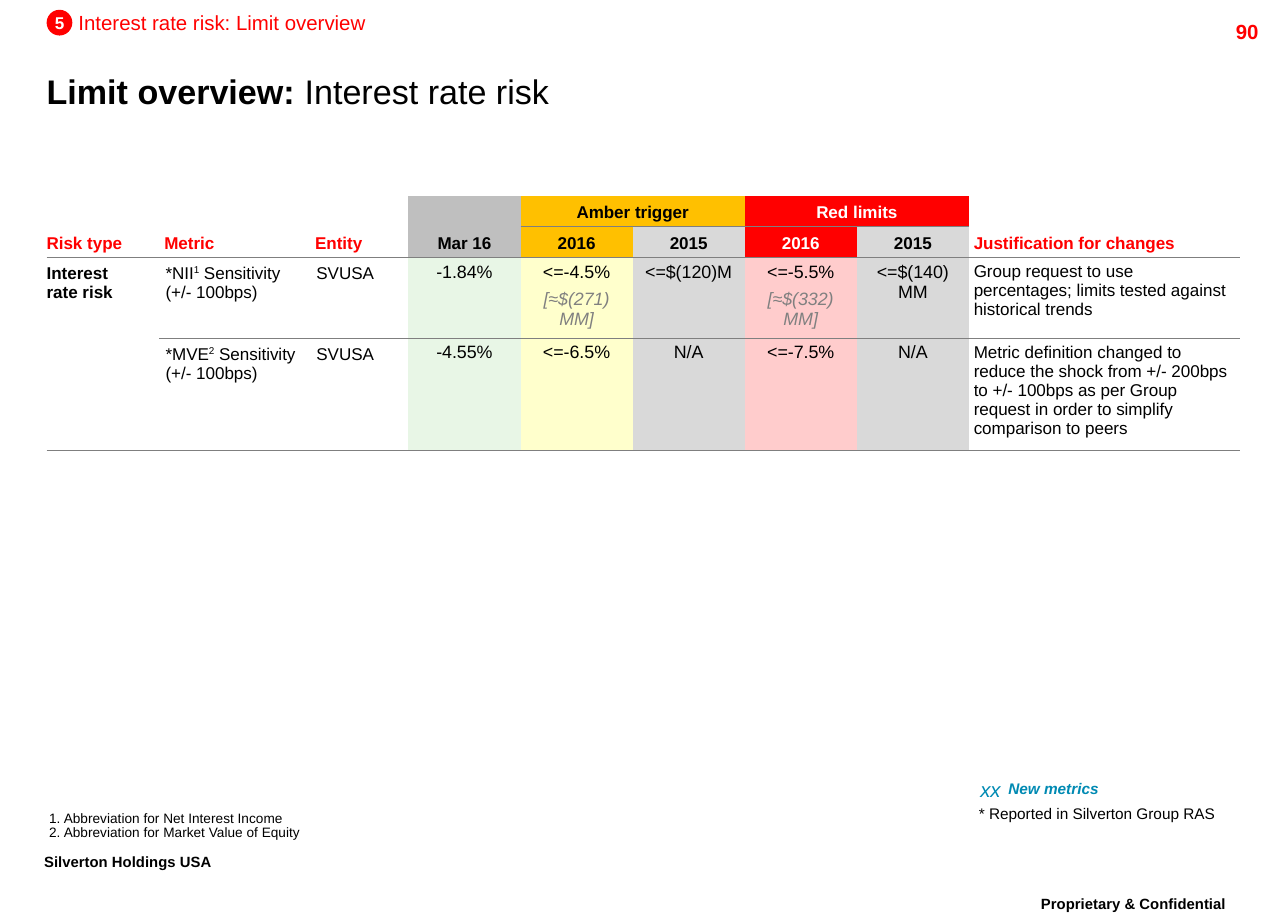
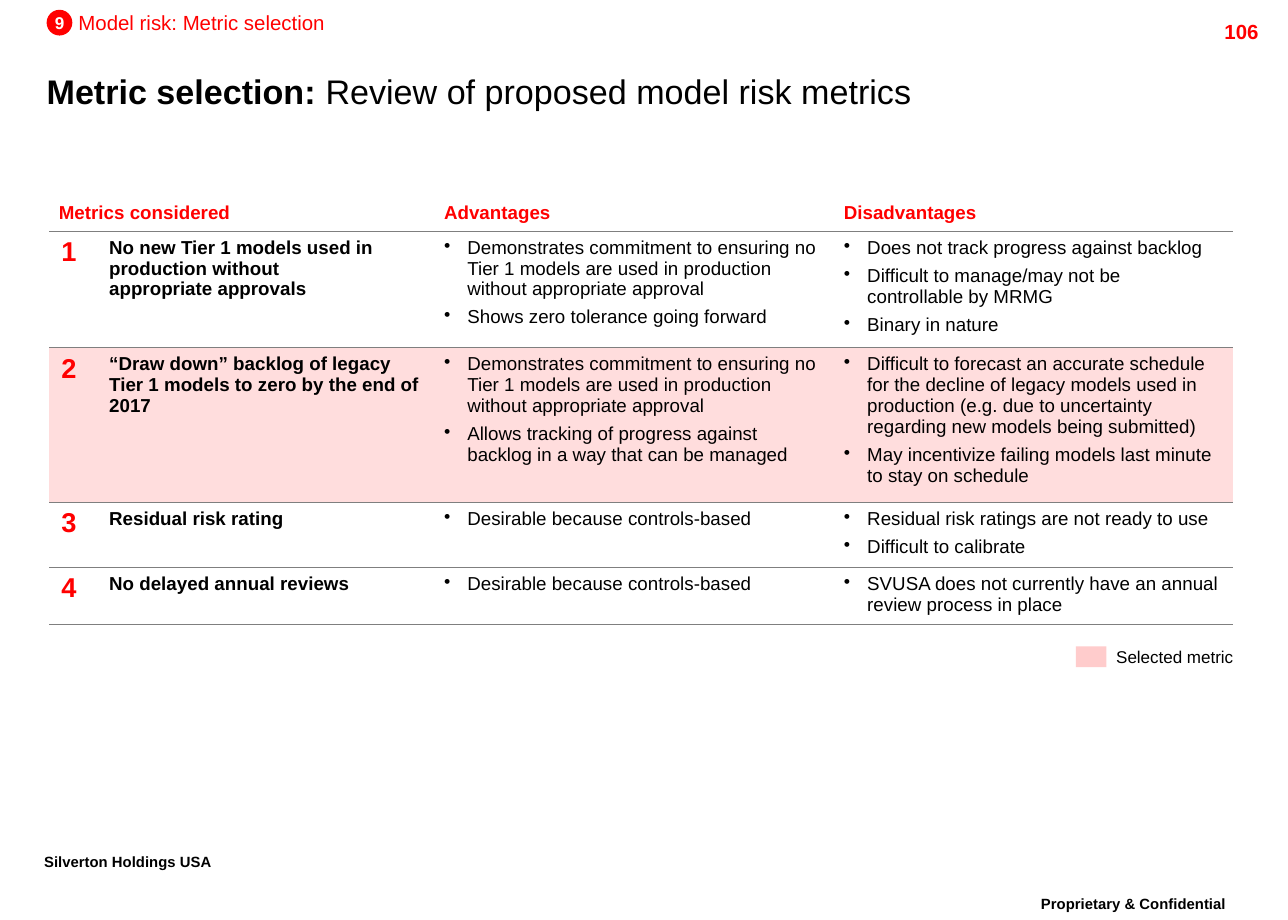
from dataclasses import dataclass

from lxml import etree
from pptx import Presentation
from pptx.dml.color import RGBColor
from pptx.enum import shapes, text as text_enum
from pptx.oxml import ns
from pptx.util import Inches, Pt

LEFT, CENTER, RIGHT = (text_enum.PP_ALIGN.LEFT, text_enum.PP_ALIGN.CENTER,
                       text_enum.PP_ALIGN.RIGHT)
TOP, MIDDLE, BOTTOM = (text_enum.MSO_ANCHOR.TOP, text_enum.MSO_ANCHOR.MIDDLE,
                       text_enum.MSO_ANCHOR.BOTTOM)


@dataclass(frozen=True)
class Theme:
    font: str = "Arial"
    red: str = "FF0000"
    black: str = "000000"
    white: str = "FFFFFF"
    amber: str = "FFC000"
    grey: str = "BFBFBF"
    light_grey: str = "D9D9D9"
    rule: str = "7F7F7F"
    muted: str = "808080"
    pale_green: str = "E8F6E6"
    pale_yellow: str = "FFFFCC"
    pale_red: str = "FFCCCC"
    selected: str = "FFDDDD"
    blue: str = "008AB3"
    title: float = 20
    number: float = 16
    section: float = 12
    metric: float = 11
    value: float = 10.5
    body: float = 10
    legend: float = 9
    footer: float = 8.7
    note: float = 8


THEME = Theme()

# Shared content
COMPANY = "Silverton Holdings USA"
ENTITY = "SVUSA"
NOTICE = "Proprietary & Confidential"

# Limit overview content: a cell is a string or a list of paragraphs,
# a paragraph is a string or a list of runs, a run is a string or (text, format)
SUPERSCRIPT = {"baseline": 30}
ESTIMATE = {"italic": True, "color": THEME.muted}
LIMIT_COLUMNS = [0.92, 1.23, 0.8] + [4.57 / 5] * 5 + [2.21]
LIMIT_ROWS = [0.25, 0.25, 0.66, 0.91]
LIMIT_HEADERS = [  # row, column, rows spanned, columns spanned, text, fill, colour
    (0, 0, 2, 1, "Risk type", None, THEME.red),
    (0, 1, 2, 1, "Metric", None, THEME.red),
    (0, 2, 2, 1, "Entity", None, THEME.red),
    (0, 3, 2, 1, "Mar 16", THEME.grey, THEME.black),
    (0, 4, 1, 2, "Amber trigger", THEME.amber, THEME.black),
    (0, 6, 1, 2, "Red limits", THEME.red, THEME.white),
    (0, 8, 2, 1, "Justification for changes", None, THEME.red),
    (1, 4, 1, 1, "2016", THEME.amber, THEME.black),
    (1, 5, 1, 1, "2015", THEME.light_grey, THEME.black),
    (1, 6, 1, 1, "2016", THEME.red, THEME.white),
    (1, 7, 1, 1, "2015", THEME.light_grey, THEME.black),
]
LIMIT_FILLS = [None, None, None, THEME.pale_green, THEME.pale_yellow,
               THEME.light_grey, THEME.pale_red, THEME.light_grey, None]
VALUE_COLUMNS = range(3, 8)
RISK_TYPE = "Interest rate risk"
LIMITS = [
    [[["*NII", ("1", SUPERSCRIPT), " Sensitivity (+/- 100bps)"]], ENTITY, "-1.84%",
     ["<=-4.5%", [("[≈$(271) MM]", ESTIMATE)]], "<=$(120)M",
     ["<=-5.5%", [("[≈$(332) MM]", ESTIMATE)]], "<=$(140) MM",
     "Group request to use percentages; limits tested against historical trends"],
    [[["*MVE", ("2", SUPERSCRIPT), " Sensitivity (+/- 100bps)"]], ENTITY, "-4.55%",
     "<=-6.5%", "N/A", "<=-7.5%", "N/A",
     "Metric definition changed to reduce the shock from +/- 200bps to +/- 100bps "
     "as per Group request in order to simplify comparison to peers"],
]
FOOTNOTES = ["Abbreviation for Net Interest Income",
             "Abbreviation for Market Value of Equity"]

# Metric selection content: metric, its right margin, advantages, disadvantages
METRIC_COLUMNS = [0.39, 2.73, 3.26, 3.27]
METRIC_ROWS = [0.28, 0.95, 1.25, 0.53, 0.47]
METRIC_HEADERS = [(0, "Metrics considered"), (2, "Advantages"), (3, "Disadvantages")]
SELECTED_METRIC = 2
COMMITMENT = ("Demonstrates commitment to ensuring no Tier 1 models are used in "
              "production without appropriate approval")
METRICS = [
    ("No new Tier 1 models used in production without appropriate approvals", 0.4,
     [COMMITMENT, "Shows zero tolerance going forward"],
     ["Does not track progress against backlog",
      "Difficult to manage/may not be controllable by MRMG",
      "Binary in nature"]),
    ("“Draw down” backlog of legacy Tier 1 models to zero by the end of 2017", 0.1,
     [COMMITMENT,
      "Allows tracking of progress against backlog in a way that can be managed"],
     ["Difficult to forecast an accurate schedule for the decline of legacy models "
      "used in production (e.g. due to uncertainty regarding new models being submitted)",
      "May incentivize failing models last minute to stay on schedule"]),
    ("Residual risk rating", 0.1,
     ["Desirable because controls-based"],
     ["Residual risk ratings are not ready to use", "Difficult to calibrate"]),
    ("No delayed annual reviews", 0.1,
     ["Desirable because controls-based"],
     [ENTITY + " does not currently have an annual review process in place"]),
]


# Text
def add_bullet(paragraph, bullet, indent):
    properties = paragraph._p.get_or_add_pPr()
    properties.set("marL", str(Inches(indent)))
    properties.set("indent", str(-Inches(indent)))
    if bullet == "1.":
        etree.SubElement(properties, ns.qn("a:buAutoNum"), type="arabicPeriod")
    else:
        etree.SubElement(properties, ns.qn("a:buChar"), char=bullet)


def write(frame, content, *, size=THEME.body, color=THEME.black, bold=False,
          italic=False, align=LEFT, spacing=None, gap=0, bullet=None, indent=0.19):
    """Fill a text frame with paragraphs that share one format."""
    paragraphs = [content] if isinstance(content, str) else content
    for index, runs in enumerate(paragraphs):
        paragraph = frame.add_paragraph() if index else frame.paragraphs[0]
        paragraph.alignment = align
        if spacing:
            paragraph.line_spacing = spacing
        if index and gap:
            paragraph.space_before = Pt(gap)
        if bullet:
            add_bullet(paragraph, bullet, indent)
        for item in [runs] if isinstance(runs, str) else runs:
            words, changes = (item, {}) if isinstance(item, str) else item
            run = paragraph.add_run()
            run.text = words
            font = run.font
            font.name, font.size = THEME.font, Pt(size)
            font.bold = changes.get("bold", bold)
            font.italic = changes.get("italic", italic)
            font.color.rgb = RGBColor.from_string(changes.get("color", color))
            if "baseline" in changes:
                font._element.set("baseline", str(changes["baseline"] * 1000))


def set_margins(holder, left=0, top=0, right=0, bottom=0):
    holder.margin_left, holder.margin_top = Inches(left), Inches(top)
    holder.margin_right, holder.margin_bottom = Inches(right), Inches(bottom)


def add_text(slide, box, content, anchor=MIDDLE, wrap=True, **style):
    frame = slide.shapes.add_textbox(*map(Inches, box)).text_frame
    frame.word_wrap = wrap
    frame.vertical_anchor = anchor
    set_margins(frame)
    write(frame, content, **style)


def add_block(slide, kind, box, fill):
    shape = slide.shapes.add_shape(kind, *map(Inches, box))
    shape.shadow.inherit = False
    shape.fill.solid()
    shape.fill.fore_color.rgb = RGBColor.from_string(fill)
    shape.line.fill.background()
    return shape


# Tables
def add_ruled_table(slide, left, top, columns, rows):
    """Add a plain table with a thin rule under every cell."""
    frame = slide.shapes.add_table(
        len(rows), len(columns), Inches(left), Inches(top),
        Inches(sum(columns)), Inches(sum(rows)))
    table = frame.table
    table.first_row = table.horz_banding = False
    for style in frame._element.iter(ns.qn("a:tableStyleId")):
        style.text = "{2D5ABB26-0587-4C30-8999-92F81FD0307C}"
    for column, width in zip(table.columns, columns):
        column.width = Inches(width)
    for row, height in zip(table.rows, rows):
        row.height = Inches(height)
    for cell in table.iter_cells():
        cell.fill.background()
        border = etree.Element(ns.qn("a:lnB"), w=str(Pt(0.75)))
        solid = etree.SubElement(border, ns.qn("a:solidFill"))
        etree.SubElement(solid, ns.qn("a:srgbClr"), val=THEME.rule)
        cell._tc.get_or_add_tcPr().insert(0, border)
    return table


def fill_cell(cell, content, margins, fill=None, anchor=TOP, **style):
    set_margins(cell, *margins)
    cell.vertical_anchor = anchor
    if fill:
        cell.fill.solid()
        cell.fill.fore_color.rgb = RGBColor.from_string(fill)
    write(cell.text_frame, content, **style)


# Parts every slide shares
def add_slide(presentation, chapter, section, title, subtitle, page):
    slide = presentation.slides.add_slide(presentation.slide_layouts[6])
    badge = add_block(slide, shapes.MSO_SHAPE.OVAL, (0.38, 0.08, 0.21, 0.21), THEME.red)
    set_margins(badge.text_frame)
    badge.text_frame.word_wrap = False
    badge.text_frame.vertical_anchor = MIDDLE
    write(badge.text_frame, chapter, color=THEME.white, bold=True, align=CENTER)
    add_text(slide, (0.64, 0.08, 5, 0.2), section, size=THEME.section, color=THEME.red)
    add_text(slide, (9.26, 0.16, 1, 0.2), page, size=THEME.section, color=THEME.red,
             bold=True, align=RIGHT)
    add_text(slide, (0.38, 0.5, 9.48, 0.48),
             [[(title + " ", {"bold": True}), subtitle]], size=THEME.title)
    add_text(slide, (0.36, 6.92, 3, 0.2), COMPANY, size=THEME.footer, bold=True)
    add_text(slide, (8.15, 7.27, 2.18, 0.2), NOTICE, size=THEME.footer, bold=True,
             align=CENTER)
    return slide


def build_limit_overview(presentation):
    slide = add_slide(presentation, "5", "Interest rate risk: Limit overview",
                      "Limit overview:", "Interest rate risk", "90")
    table = add_ruled_table(slide, 0.38, 1.6, LIMIT_COLUMNS, LIMIT_ROWS)

    # Header cells
    for row, column, height, width, label, fill, color in LIMIT_HEADERS:
        cell = table.cell(row, column)
        if height * width > 1:
            cell.merge(table.cell(row + height - 1, column + width - 1))
        fill_cell(cell, label, (0.04 if column else 0, 0.04, 0.04, 0.04), fill, BOTTOM,
                  color=color, bold=True, align=LEFT if color == THEME.red else CENTER)

    # Limits
    table.cell(2, 0).merge(table.cell(3, 0))
    fill_cell(table.cell(2, 0), RISK_TYPE, (0, 0.05, 0.2, 0.05), bold=True)
    for row, limits in enumerate(LIMITS, 2):
        for column, content in enumerate(limits, 1):
            is_value = column in VALUE_COLUMNS
            margin = 0.05 if column < 3 else 0.03 if is_value and row == 3 else 0.04
            fill_cell(table.cell(row, column), content, [margin] * 4, LIMIT_FILLS[column],
                      size=THEME.value if is_value else THEME.body,
                      align=CENTER if is_value else LEFT, gap=4)

    # Footnotes and legend
    add_text(slide, (0.4, 6.62, 6.15, 0.23), FOOTNOTES, BOTTOM, size=THEME.note,
             spacing=0.86, bullet="1.", indent=0.12)
    add_text(slide, (7.86, 6.34, 0.43, 0.19), "xx", size=THEME.section, color=THEME.blue,
             italic=True, align=CENTER)
    add_text(slide, (8.22, 6.36, 0.9, 0.13), "New metrics", wrap=False,
             size=THEME.legend, color=THEME.blue, bold=True, italic=True)
    add_text(slide, (7.98, 6.57, 2.1, 0.13), "* Reported in Silverton Group RAS",
             wrap=False, size=THEME.legend)


def build_metric_selection(presentation):
    slide = add_slide(presentation, "9", "Model risk: Metric selection",
                      "Metric selection:", "Review of proposed model risk metrics", "106")
    table = add_ruled_table(slide, 0.4, 1.6, METRIC_COLUMNS, METRIC_ROWS)
    margins = (0.1, 0.05, 0.1, 0.05)

    # Header cells
    table.cell(0, 0).merge(table.cell(0, 1))
    for column, label in METRIC_HEADERS:
        fill_cell(table.cell(0, column), label, margins if column else (0.08, *margins[1:]),
                  size=THEME.metric, color=THEME.red, bold=True)

    # Metrics
    for row, (metric, right_margin, *arguments) in enumerate(METRICS, 1):
        fill = THEME.selected if row == SELECTED_METRIC else None
        fill_cell(table.cell(row, 0), str(row), margins, fill, size=THEME.number,
                  color=THEME.red, bold=True)
        fill_cell(table.cell(row, 1), metric, (0.1, 0.05, right_margin, 0.05), fill,
                  size=THEME.metric, bold=True)
        for column, points in enumerate(arguments, 2):
            fill_cell(table.cell(row, column), points, margins, fill, size=THEME.metric,
                      gap=4.2, bullet="•")

    # Legend
    add_block(slide, shapes.MSO_SHAPE.RECTANGLE, (8.77, 5.27, 0.25, 0.17), THEME.pale_red)
    add_text(slide, (9.1, 5.27, 1, 0.17), "Selected metric", wrap=False)


def main():
    presentation = Presentation()
    presentation.slide_width, presentation.slide_height = Inches(10.5), Inches(7.5)
    build_limit_overview(presentation)
    build_metric_selection(presentation)
    presentation.save("out.pptx")


if __name__ == "__main__":
    main()
